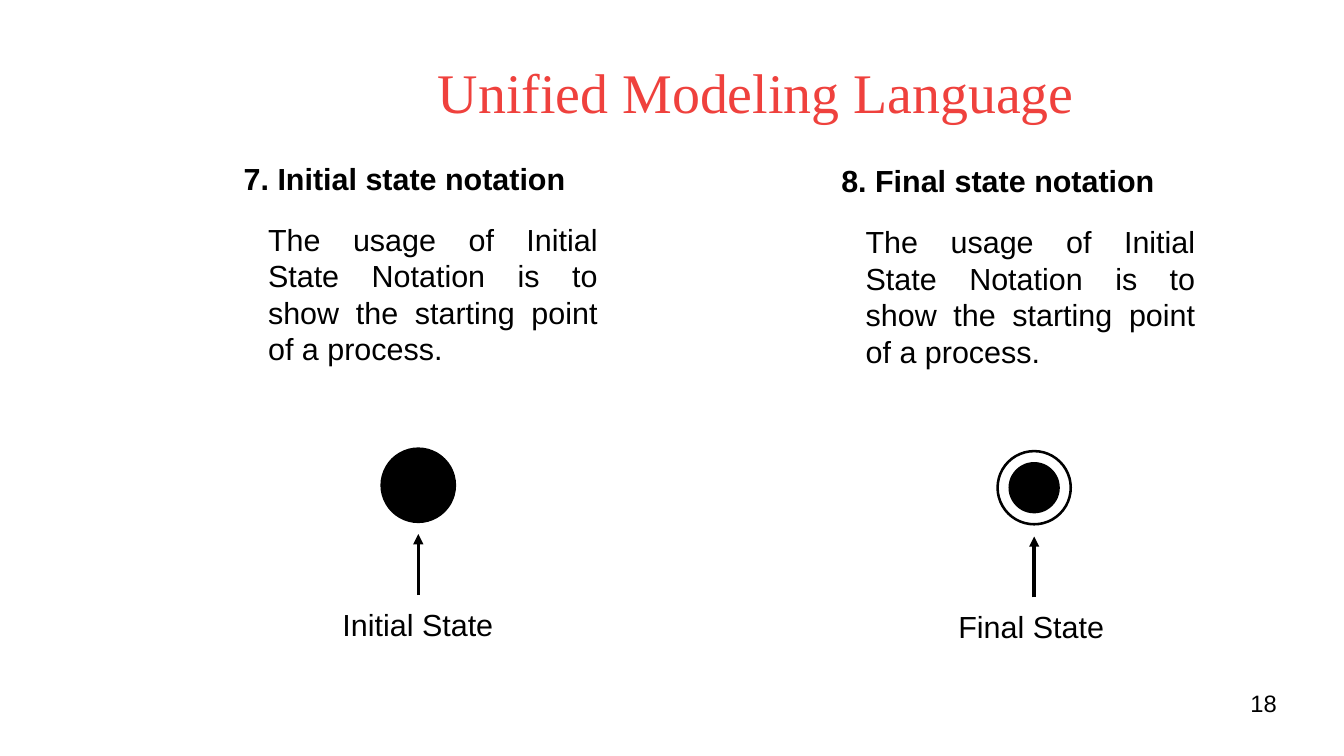
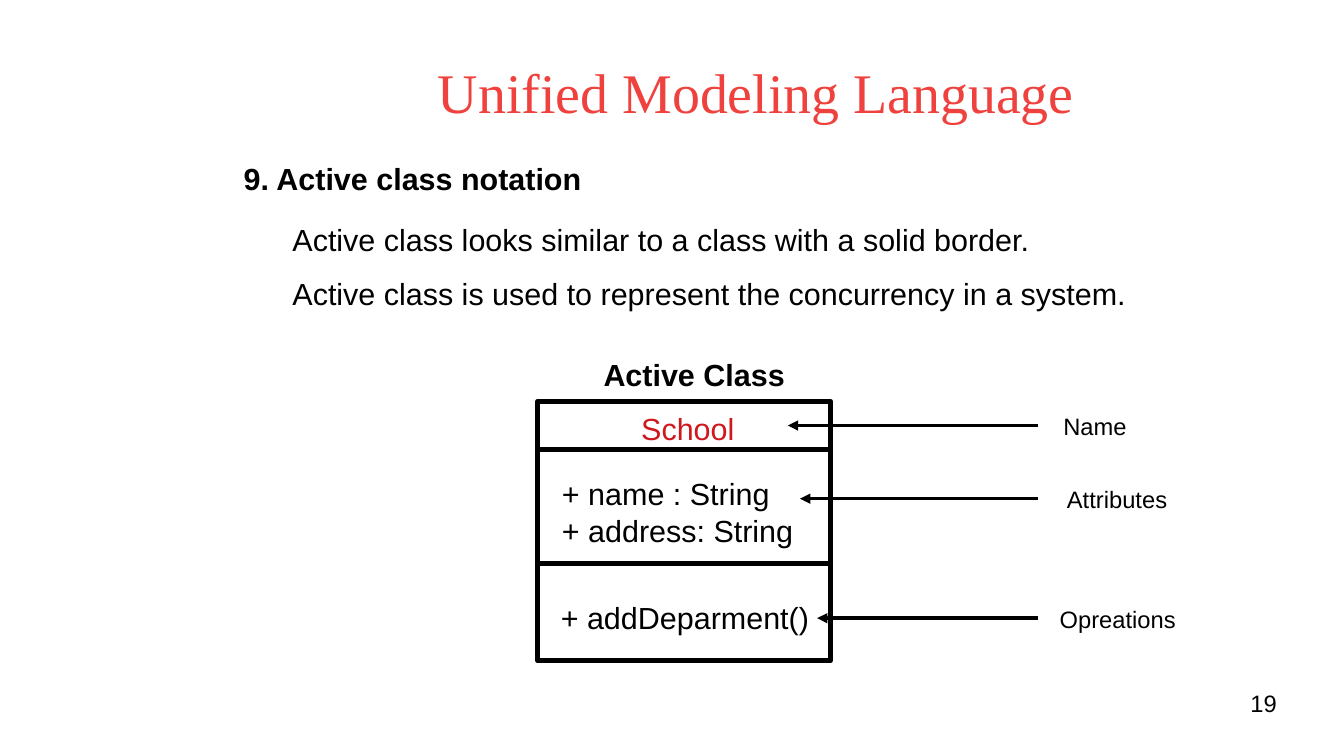
from lxml import etree
from pptx import Presentation
from pptx.dml.color import RGBColor
from pptx.enum.shapes import MSO_CONNECTOR, MSO_SHAPE
from pptx.enum.text import MSO_ANCHOR, PP_ALIGN
from pptx.oxml.ns import qn
from pptx.util import Inches, Pt

# Palette, fonts and enum members
BLACK = RGBColor(0x00, 0x00, 0x00)
WHITE = RGBColor(0xFF, 0xFF, 0xFF)
CORAL = RGBColor(0xEF, 0x41, 0x3D)
RED = RGBColor(0xCE, 0x18, 0x1E)
SANS, SERIF = "Arial", "Times New Roman"
LEFT, MID, RIGHT, FULL = (PP_ALIGN.LEFT, PP_ALIGN.CENTER,
                          PP_ALIGN.RIGHT, PP_ALIGN.JUSTIFY)
TOP, CENTRE = MSO_ANCHOR.TOP, MSO_ANCHOR.MIDDLE
OVAL, RECT = MSO_SHAPE.OVAL, MSO_SHAPE.RECTANGLE
STRAIGHT = MSO_CONNECTOR.STRAIGHT

# Square grid: ten cells to the inch
COLS, ROWS = 110.2, 62
HAIR = 0


def cell(count):
    return Inches(count / 10)


def text(slide, lines, x, y, w, h, size=18, font=SANS, color=BLACK,
         bold=False, align=LEFT, anchor=TOP, space=None, pad=1):
    """Place one paragraph per line of text."""
    box = slide.shapes.add_textbox(cell(x), cell(y), cell(w), cell(h))
    frame = box.text_frame
    frame.word_wrap = True
    frame.vertical_anchor = anchor
    frame.margin_left = frame.margin_right = cell(pad)
    frame.margin_top = frame.margin_bottom = cell(pad / 2)
    for i, line in enumerate(lines.split("\n")):
        para = frame.add_paragraph() if i else frame.paragraphs[0]
        para.alignment = align
        if space:
            para.line_spacing = space
        run = para.add_run()
        run.text = line
        run.font.size = Pt(size)
        run.font.name = font
        run.font.bold = bold
        run.font.color.rgb = color


def shape(slide, kind, x, y, w, h, fill=BLACK, width=1.5):
    item = slide.shapes.add_shape(kind, cell(x), cell(y), cell(w), cell(h))
    item.shadow.inherit = False
    item.fill.solid()
    item.fill.fore_color.rgb = fill
    item.line.color.rgb = BLACK
    item.line.width = Pt(width)


def disc(slide, x, y, size, fill=BLACK):
    """Draw a circle around a centre."""
    shape(slide, OVAL, x - size / 2, y - size / 2, size, size, fill)


def line(slide, x1, y1, x2, y2, width=HAIR, arrow=False):
    item = slide.shapes.add_connector(
        STRAIGHT, cell(x1), cell(y1), cell(x2), cell(y2))
    item.line.color.rgb = BLACK
    item.line.width = Pt(width)
    props = item._element.spPr
    if arrow:
        etree.SubElement(props.find(qn("a:ln")), qn("a:tailEnd"),
                         type="triangle")
    etree.SubElement(props, qn("a:effectLst"))


def page(deck, number):
    """Add a slide with the shared title and page number."""
    slide = deck.slides.add_slide(deck.slide_layouts[6])
    text(slide, "Unified Modeling Language", 17.7, 2.4, 88.6, 10.2, size=33,
         font=SERIF, color=CORAL, align=MID, anchor=CENTRE, pad=0)
    text(slide, str(number), 79, 56.5, 25.7, 4.3, size=14, align=RIGHT, pad=0)
    return slide


def state(slide, head, label, x, y, mid, ring=False):
    """Draw one state column; mid is the centre of its symbol."""
    text(slide, head, x, y, 30, 6.6, bold=True)
    text(slide, "The usage of Initial State Notation is to show "
         "the starting point of a process.",
         x + 2, y + 5, 29, 12.2, align=FULL)
    hub = y + 27.2
    if ring:
        disc(slide, mid, hub, 6, WHITE)
        disc(slide, mid, hub, 4)
    else:
        disc(slide, mid, hub, 6)
    line(slide, mid, hub + 9, mid, hub + 4, arrow=True)
    text(slide, label, mid - 7.2, hub + 9.4, 16, 6.6)


def states(deck):
    slide = page(deck, 18)
    state(slide, "7. Initial state notation", "Initial State",
          19, 12.6, 34.3)
    state(slide, "8. Final state notation", "Final State",
          68, 12.8, 84.8, ring=True)


def active(deck):
    slide = page(deck, 19)
    text(slide, "9. Active class notation", 19, 12.6, 72, 6.6, bold=True)
    text(slide, "Active class looks similar to a class with a solid border.\n"
         "Active class is used to represent the concurrency in a system.",
         23, 16.1, 75, 12.2, align=FULL, space=1.5)

    # Class box with its two dividers
    x, y, w, h = 44.1, 32.9, 24, 21.3
    shape(slide, RECT, x, y, w, h, WHITE, 3)
    for row in (4, 13.3):
        line(slide, x, y + row, x + w, y + row, 3)
    text(slide, "Active Class", 48.5, 28.7, 19.9, 6.6, bold=True)
    text(slide, "School", 51.6, 33.1, 13, 3.8, color=RED)
    text(slide, "+ name : String\n+ address: String", 45.1, 38.5, 25, 6.6)
    text(slide, "+ addDeparment()", 45, 48.6, 25, 6.6)

    # Callouts: label, its left edge, arrow tip, arrow row
    for label, edge, tip, row in (("Name", 86.2, 64.6, 34.9),
                                  ("Attributes", 86.5, 65.6, 40.9),
                                  ("Opreations", 85.9, 67, 50.7)):
        line(slide, 85.1, row, tip, row, arrow=True)
        text(slide, label, edge, row - 1.6, 13.6, 5.4, size=14)


def main():
    deck = Presentation()
    deck.slide_width, deck.slide_height = cell(COLS), cell(ROWS)
    states(deck)
    active(deck)
    deck.save("out.pptx")


if __name__ == "__main__":
    main()
